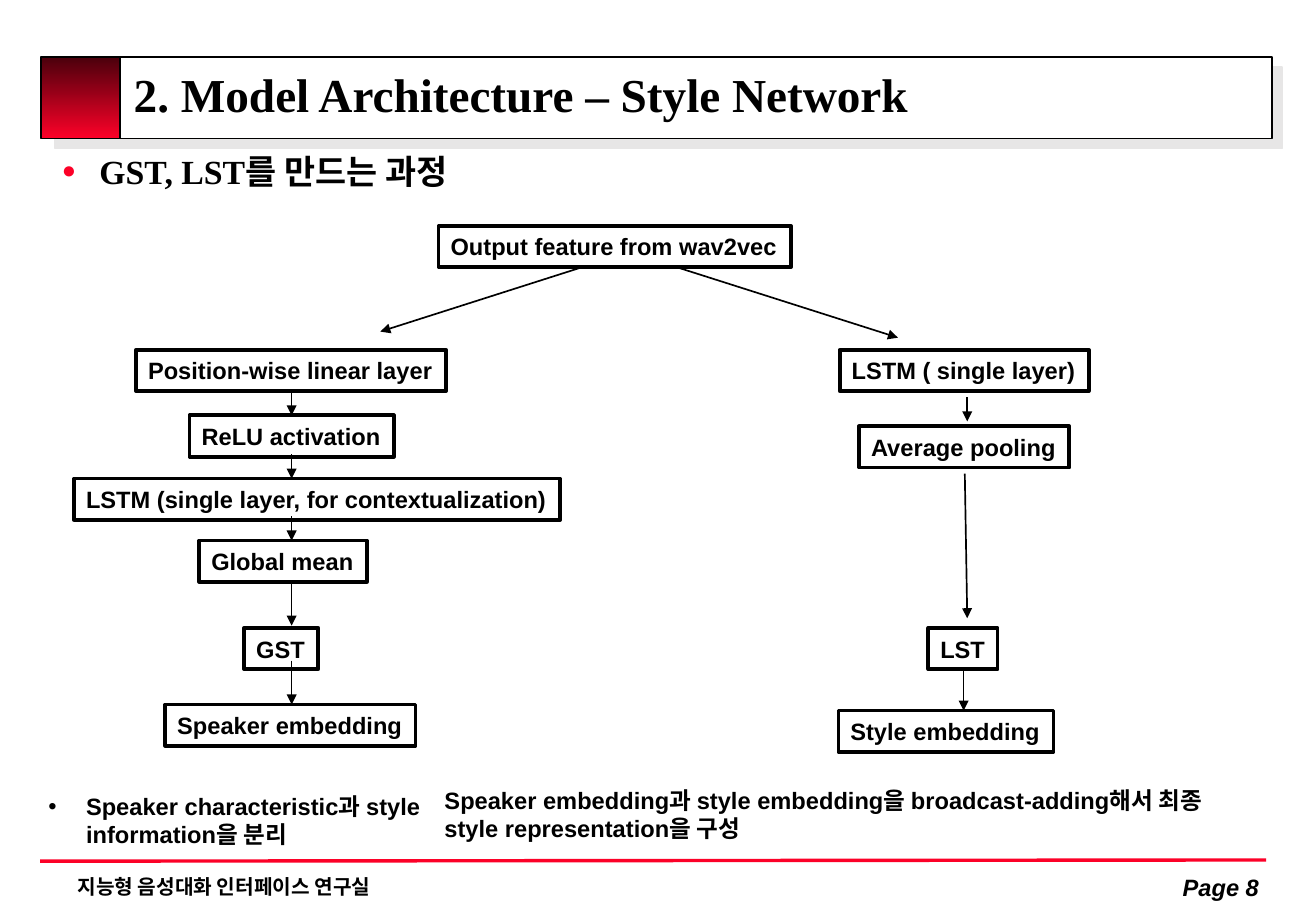
from dataclasses import dataclass
from typing import Any, NamedTuple

from lxml.etree import SubElement
from pptx import Presentation
from pptx.dml.color import RGBColor
from pptx.enum.shapes import MSO_CONNECTOR, MSO_SHAPE
from pptx.enum.text import MSO_ANCHOR, PP_ALIGN
from pptx.oxml.ns import qn
from pptx.util import Inches, Pt


@dataclass(frozen=True)
class Theme:
    black: RGBColor = RGBColor(0, 0, 0)
    white: RGBColor = RGBColor(255, 255, 255)
    red: RGBColor = RGBColor(0xFC, 0x01, 0x28)
    wine: RGBColor = RGBColor(0x4B, 0, 0x0C)
    shade: RGBColor = RGBColor(0xE7, 0xE6, 0xE6)
    serif: str = "Times New Roman"
    sans: str = "Arial"
    title: int = 28
    lead: int = 20
    body: int = 14
    foot: int = 12


class Area(NamedTuple):
    """A place on the grid, in columns and rows."""
    left: float
    top: float
    wide: float
    high: float


class Box(NamedTuple):
    left: float
    top: float
    wide: float
    text: str


class Arrow(NamedTuple):
    x1: float
    y1: float
    x2: float
    y2: float


class Note(NamedTuple):
    area: Area
    text: str
    style: dict[str, Any]
    frame: dict[str, Any] = {}
    align: PP_ALIGN = PP_ALIGN.LEFT
    bullet: tuple[str, int, RGBColor] | None = None


THEME = Theme()
CELL = Inches(0.1)
BOX_HIGH = 3.4
LEFT_X = 24
BODY = {"name": THEME.sans, "size": Pt(THEME.body), "bold": True}
TITLE = {**BODY, "name": THEME.serif, "size": Pt(THEME.title)}
LEAD = {**TITLE, "size": Pt(THEME.lead)}
FOOT = {**BODY, "size": Pt(THEME.foot)}

BOXES = [
    Box(36.1, 18.6, 29, "Output feature from wav2vec"),
    Box(11.2, 28.8, 25.5, "Position-wise linear layer"),
    Box(15.6, 34.2, 16.8, "ReLU activation"),
    Box(6.1, 39.4, 40, "LSTM (single layer, for contextualization)"),
    Box(16.4, 44.5, 13.8, "Global mean"),
    Box(20.1, 51.7, 6.1, "GST"),
    Box(13.6, 58, 20.6, "Speaker embedding"),
    Box(69.1, 28.8, 20.5, "LSTM ( single layer)"),
    Box(70.7, 35.1, 17.3, "Average pooling"),
    Box(76.4, 51.7, 5.7, "LST"),
    Box(69, 58.5, 17.7, "Style embedding"),
]
LEFT_STEPS = [(32.2, 34.2), (37.4, 39.4), (42.5, 44.5), (47.9, 51.5), (54.4, 58)]
ARROWS = [
    Arrow(47.9, 22, 31.3, 27.3),
    Arrow(55.7, 22, 73.9, 27.8),
    *(Arrow(LEFT_X, start, LEFT_X, end) for start, end in LEFT_STEPS),
    Arrow(79.6, 32.7, 79.6, 34.7),
    Arrow(79.4, 39, 79.6, 50.9),
    Arrow(79.3, 55, 79.3, 58.5),
]
NOTES = [
    Note(Area(4.1, 11.9, 101.2, 5), "GST, LST를 만드는 과정", LEAD,
         bullet=("●", 70, THEME.red)),
    Note(Area(3, 64.7, 32.6, 5.7), "Speaker characteristic과 style information을 분리",
         BODY, bullet=("•", 100, THEME.black)),
    Note(Area(35.6, 64.2, 65.4, 5.7),
         "Speaker embedding과 style embedding을 broadcast-adding해서 "
         "최종 style representation을 구성", BODY),
    Note(Area(5.4, 71.5, 72.4, 3), "지능형 음성대화 인터페이스 연구실", FOOT),
    Note(Area(92.9, 71.4, 11.7, 3.3), "Page 8", {**BODY, "italic": True},
         {"word_wrap": False, "vertical_anchor": MSO_ANCHOR.MIDDLE}, PP_ALIGN.RIGHT),
]


def grid(*cells: float) -> list[int]:
    return [round(cell * CELL) for cell in cells]


def apply(item: Any, values: dict[str, Any]) -> None:
    for name, value in values.items():
        setattr(item, name, value)


def write(shape: Any, text: str, style: dict[str, Any], frame: dict[str, Any],
          align: PP_ALIGN = PP_ALIGN.LEFT) -> Any:
    """Fill the shape with one paragraph and return it."""
    apply(shape.text_frame, {"word_wrap": True, **frame})
    para = shape.text_frame.paragraphs[0]
    para.alignment = align
    run = para.add_run()
    run.text = text
    apply(run.font, style)
    run.font.color.rgb = THEME.black
    return para


def cast(props: Any, gap: float) -> None:
    """Add a shadow down and to the right, gap points away."""
    effects = props.find(qn("a:effectLst"))
    if effects is None:
        effects = SubElement(props, qn("a:effectLst"))
    shadow = SubElement(effects, qn("a:outerShdw"), dist=str(Pt(gap)),
                        dir="2700000", algn="ctr", rotWithShape="0")
    SubElement(shadow, qn("a:srgbClr"), val=str(THEME.shade))


def add_rect(slide: Any, area: Area, weight: float) -> Any:
    rect = slide.shapes.add_shape(MSO_SHAPE.RECTANGLE, *grid(*area))
    rect.shadow.inherit = False
    rect.line.color.rgb = THEME.black
    rect.line.width = Pt(weight)
    return rect


def add_line(slide: Any, ends: Arrow, color: RGBColor, weight: float) -> Any:
    line = slide.shapes.add_connector(MSO_CONNECTOR.STRAIGHT, *grid(*ends))
    line.line.color.rgb = color
    line.line.width = Pt(weight)
    SubElement(line._element.spPr, qn("a:effectLst"))
    return line


def add_arrow(slide: Any, arrow: Arrow) -> None:
    line = add_line(slide, arrow, THEME.black, 1)
    SubElement(line.line._get_or_add_ln(), qn("a:tailEnd"), type="triangle")


def add_box(slide: Any, box: Box) -> None:
    rect = add_rect(slide, Area(box.left, box.top, box.wide, BOX_HIGH), 2.25)
    rect.fill.background()
    write(rect, box.text, BODY, {"word_wrap": False})


def add_note(slide: Any, note: Note) -> None:
    area = slide.shapes.add_textbox(*grid(*note.area))
    para = write(area, note.text, note.style, note.frame, note.align)
    if note.bullet:
        char, size, color = note.bullet
        props = para._p.get_or_add_pPr()
        indent = grid(3.1)[0]
        props.set("marL", str(indent))
        props.set("indent", str(-indent))
        SubElement(SubElement(props, qn("a:buClr")), qn("a:srgbClr"), val=str(color))
        SubElement(props, qn("a:buSzPct"), val=str(size * 1000))
        SubElement(props, qn("a:buFont"), typeface=THEME.sans)
        SubElement(props, qn("a:buChar"), char=char)


def add_head(slide: Any) -> None:
    bar = add_rect(slide, Area(3.7, 4.7, 101, 6.7), 1)
    bar.fill.solid()
    bar.fill.fore_color.rgb = THEME.white
    cast(bar._element.spPr, 8.5)

    block = add_rect(slide, Area(3.4, 4.7, 6.5, 6.7), 1)
    block.fill.gradient()
    block.fill.gradient_angle = 270
    for stop, color in zip(block.fill.gradient_stops, (THEME.wine, THEME.red)):
        stop.color.rgb = color

    title = slide.shapes.title
    slide.shapes._spTree.append(title._element)
    apply(title, dict(zip(("left", "top", "width", "height"), grid(10, 4.4, 95, 7.5))))
    para = write(title, "2. Model Architecture – Style Network", TITLE,
                 {"vertical_anchor": MSO_ANCHOR.MIDDLE})
    para.line_spacing = 0.8
    props = para.runs[0].font._element
    cast(props, 3)
    props.find(qn("a:solidFill")).addnext(props.find(qn("a:effectLst")))


def main() -> None:
    deck = Presentation()
    apply(deck, {"slide_width": Inches(10.83), "slide_height": Inches(7.5)})
    slide = deck.slides.add_slide(deck.slide_layouts[5])
    add_head(slide)
    add_line(slide, Arrow(3.3, 70.9, 104.2, 70.8), THEME.red, 2)
    for note in NOTES:
        add_note(slide, note)
    for box in BOXES:
        add_box(slide, box)
    for arrow in ARROWS:
        add_arrow(slide, arrow)
    deck.save("out.pptx")


if __name__ == "__main__":
    main()
